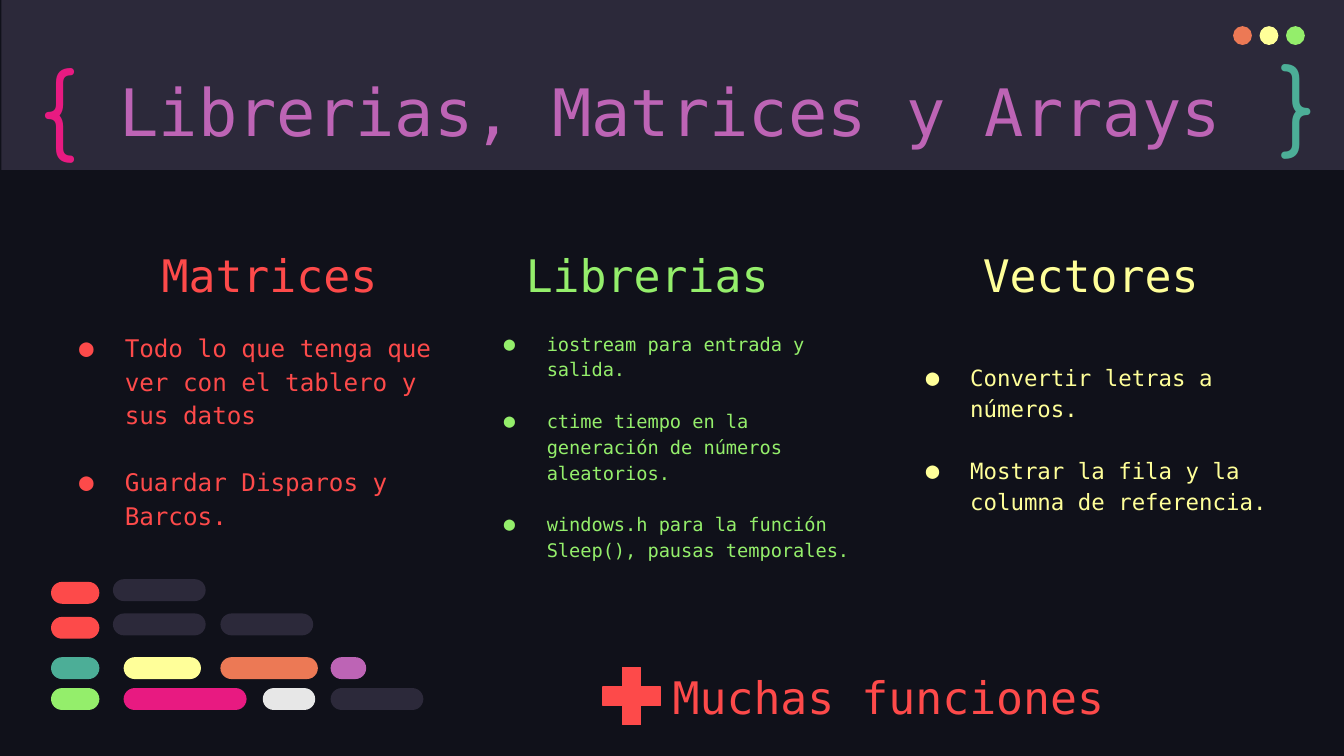
from lxml.etree import SubElement
from pptx import Presentation
from pptx.dml.color import RGBColor
from pptx.enum.shapes import MSO_SHAPE
from pptx.enum.text import MSO_ANCHOR, PP_ALIGN
from pptx.oxml.ns import qn
from pptx.util import Inches, Pt

COLORS = {
    "background": "10111A", "panel": "2C293A", "orange": "EC7955",
    "yellow": "FFFF99", "green": "94EE6B", "purple": "BD64B5",
    "red": "FD4A4A", "pink": "E81A81", "teal": "4CAE97", "white": "E7E7E7",
}
MONO, ROUNDED = "DejaVu Sans Mono", "Comfortaa"
COLUMNS, ROWS = 100, 56.25
LINE_SPACING, LINE_RATIO = 1.15, 1.38
HEADING_TOP, BODY_TOP = 17.3, 23.5
TEXT_WIDTH, HEADING_HEIGHT = 30.5, 6.1


def cells(count):
    """Return the length of a number of square grid cells."""
    return Inches(10 / COLUMNS * count)


def color(name):
    """Return a named colour."""
    return RGBColor.from_string(COLORS[name])


def add_block(shapes, kind, box, fill, adjustment=None):
    """Add a plain filled shape on the grid."""
    shape = shapes.add_shape(kind, *map(cells, box))
    shape.shadow.inherit = False
    shape.fill.solid()
    shape.fill.fore_color.rgb = color(fill)
    shape.line.fill.background()
    if adjustment is not None:
        shape.adjustments[0] = adjustment
    return shape


def add_frame(slide, box, anchor=MSO_ANCHOR.TOP):
    """Add a wrapping text box and return its text frame."""
    frame = slide.shapes.add_textbox(*map(cells, box)).text_frame
    frame.word_wrap = True
    frame.vertical_anchor = anchor
    frame.margin_left = frame.margin_right = cells(1)
    frame.margin_top = frame.margin_bottom = cells(1)
    return frame


def add_run(paragraph, text, size, name, font=MONO):
    """Add one styled run to a paragraph."""
    run = paragraph.add_run()
    run.text = text
    run.font.size = Pt(size)
    run.font.name = font
    run.font.color.rgb = color(name)


def add_label(slide, box, text, size, name, anchor=MSO_ANCHOR.TOP,
              font=MONO, alignment=PP_ALIGN.CENTER, spacing=1.0):
    """Add a text box holding one line."""
    paragraph = add_frame(slide, box, anchor).paragraphs[0]
    paragraph.alignment = alignment
    paragraph.line_spacing = spacing
    add_run(paragraph, text, size, name, font)


def add_heading(slide, left, top, width, text, name):
    """Add a section heading that sits on the bottom of its box."""
    add_label(slide, (left, top, width, HEADING_HEIGHT), text, 24, name,
              MSO_ANCHOR.BOTTOM, spacing=LINE_SPACING)


def set_bullet(paragraph, name, hanging):
    """Give a paragraph a coloured round bullet and a hanging indent."""
    properties = paragraph._p.get_or_add_pPr()
    properties.set("marL", str(cells(5)))
    properties.set("indent", str(-cells(hanging)))
    bullet_color = SubElement(properties, qn("a:buClr"))
    SubElement(bullet_color, qn("a:srgbClr")).set("val", COLORS[name])
    SubElement(properties, qn("a:buFont")).set("typeface", MONO)
    SubElement(properties, qn("a:buChar")).set("char", "●")


def add_bullets(slide, left, height, items, size, name, hanging, lines_above=0):
    """Add a bullet list with one line of space between its items."""
    frame = add_frame(slide, (left, BODY_TOP, TEXT_WIDTH, height))
    line = Pt(size * LINE_RATIO)
    frame.margin_top += line * lines_above
    for index, item in enumerate(items):
        paragraph = frame.add_paragraph() if index else frame.paragraphs[0]
        set_bullet(paragraph, name, hanging)
        paragraph.line_spacing = LINE_SPACING
        paragraph.space_before = line if index else Pt(0)
        add_run(paragraph, item, size, name)


def add_header(slide):
    """Add the title band with its window dots and braces."""
    add_block(slide.shapes, MSO_SHAPE.RECTANGLE, (0.1, 0, 99.9, 12.65), "panel")
    dots = slide.shapes.add_group_shape()
    for index, name in enumerate(("orange", "yellow", "green")):
        add_block(dots.shapes, MSO_SHAPE.OVAL,
                  (91.75 + 1.97 * index, 1.95, 1.4, 1.4), name)
    add_label(slide, (0, 4.3, 99.8, 6.3), "Librerias, Matrices y Arrays",
              35, "purple")
    add_label(slide, (2, 2.6, 7.7, 9.5), "{", 50, "pink",
              font=ROUNDED, alignment=PP_ALIGN.LEFT)
    add_label(slide, (94.3, 3.3, 5.7, 8.3), "}", 50, "teal",
              MSO_ANCHOR.MIDDLE, ROUNDED, PP_ALIGN.LEFT)


def add_code_bars(slide):
    """Add the rows of rounded bars that suggest lines of code."""
    rows = (
        (43.1, ((8.4, 6.9, "panel"),)),
        (43.3, ((3.8, 3.6, "red"),)),
        (45.65, ((8.4, 6.9, "panel"), (16.4, 6.9, "panel"))),
        (45.9, ((3.8, 3.6, "red"),)),
        (48.9, ((3.8, 3.6, "teal"), (9.2, 5.75, "yellow"),
                (16.4, 7.25, "orange"), (24.6, 2.65, "purple"))),
        (51.2, ((3.8, 3.6, "green"), (9.2, 9.15, "pink"),
                (19.55, 3.9, "white"), (24.6, 6.9, "panel"))),
    )
    bars = slide.shapes.add_group_shape()
    for top, row in rows:
        for left, width, name in row:
            add_block(bars.shapes, MSO_SHAPE.ROUNDED_RECTANGLE,
                      (left, top, width, 1.63), name, 0.5)


def add_functions_note(slide):
    """Add the plus sign and its caption."""
    plus = add_block(slide.shapes, MSO_SHAPE.MATH_PLUS,
                     (44.1, 48.9, 5.8, 5.8), "red", 0.235)
    plus.line.color.rgb = color("red")
    plus.line.width = Pt(0.75)
    add_heading(slide, 48.5, 48.7, 35.2, "Muchas funciones", "red")


def main():
    """Build and save the slide."""
    presentation = Presentation()
    presentation.slide_width = cells(COLUMNS)
    presentation.slide_height = cells(ROWS)
    slide = presentation.slides.add_slide(presentation.slide_layouts[6])
    slide.background.fill.solid()
    slide.background.fill.fore_color.rgb = color("background")
    add_header(slide)
    for left, text, name in ((4.8, "Matrices", "red"),
                             (32.9, "Librerias", "green"),
                             (65.9, "Vectores", "yellow")):
        add_heading(slide, left, HEADING_TOP, TEXT_WIDTH, text, name)
    add_bullets(slide, 3.3, 16.2, (
        "Todo lo que tenga que ver con el tablero y sus datos",
        "Guardar Disparos y Barcos.",
    ), 13, "red", 3.4)
    add_bullets(slide, 34.7, 23.4, (
        "iostream para entrada y salida.",
        "ctime tiempo en la generación de números aleatorios.",
        "windows.h para la función Sleep(), pausas temporales.",
    ), 10, "green", 3.2)
    add_bullets(slide, 66.2, 16.2, (
        "Convertir letras a números.",
        "Mostrar la fila y la columna de referencia.",
    ), 12, "yellow", 3.3, lines_above=1)
    add_code_bars(slide)
    add_functions_note(slide)
    presentation.save("out.pptx")


if __name__ == "__main__":
    main()
